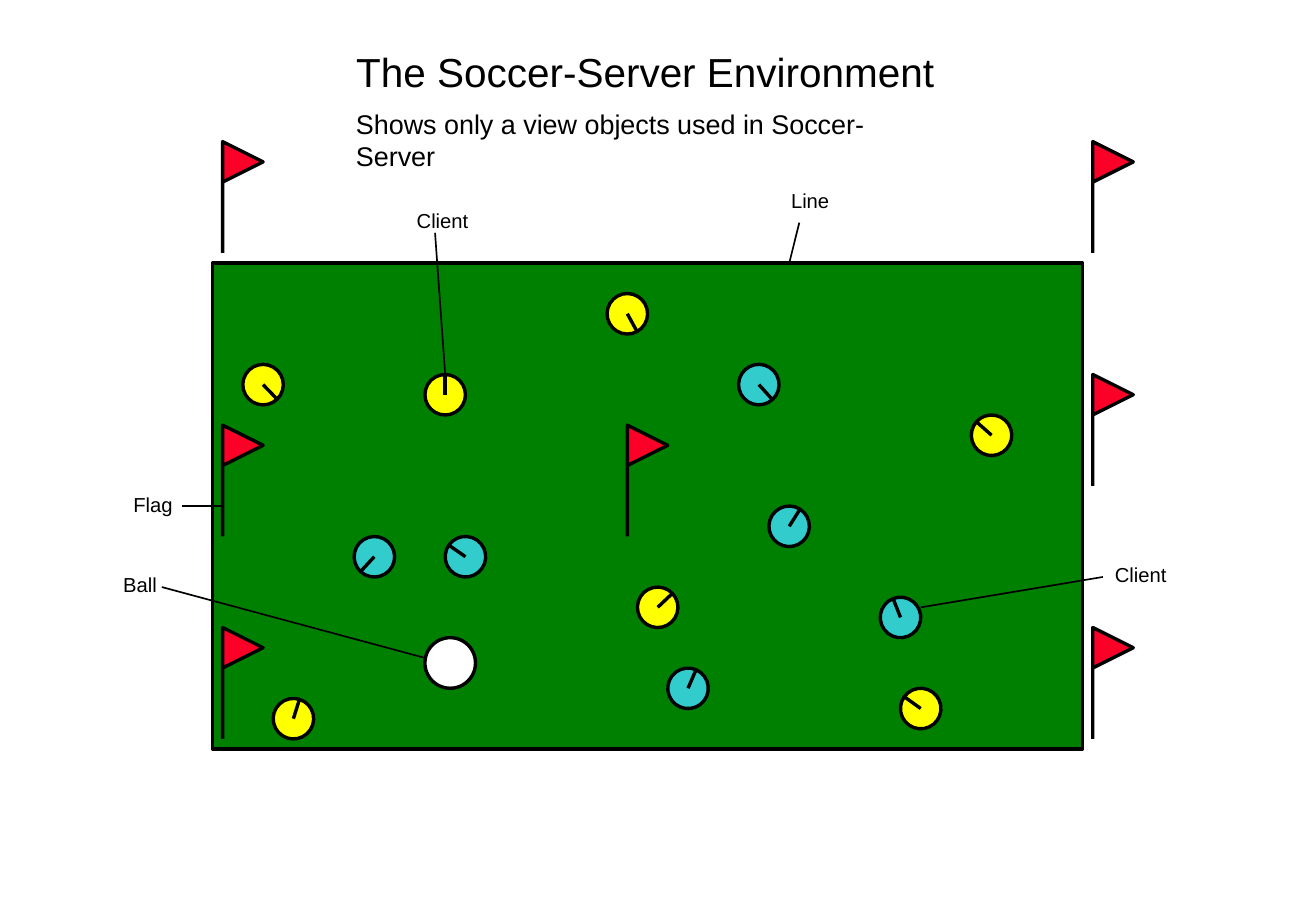
from dataclasses import dataclass
from math import cos, radians, sin

from lxml.etree import SubElement
from pptx import Presentation
from pptx.dml.color import RGBColor as Rgb
from pptx.enum.shapes import MSO_CONNECTOR as Link, MSO_SHAPE as Kind
from pptx.enum.text import MSO_ANCHOR as Anchor, MSO_AUTO_SIZE as Fit, PP_ALIGN as Align
from pptx.oxml.ns import qn
from pptx.util import Cm, Pt


@dataclass(frozen=True)
class Theme:
    """Colours, type sizes and line widths of the slide."""
    font: str = "Arial"
    ink: Rgb = Rgb(0, 0, 0)
    grass: Rgb = Rgb(0, 128, 0)
    flag: Rgb = Rgb(252, 1, 40)
    gold: Rgb = Rgb(255, 255, 0)
    teal: Rgb = Rgb(51, 204, 204)
    white: Rgb = Rgb(255, 255, 255)
    title: int = 24
    lead: int = 16
    label: int = 12
    thick: int = 2
    thin: int = 1


THEME = Theme()
FLAGS = [(41, 16), (1, 16), (87, 11), (87, -12), (87, 36), (1, 36), (1, -12)]
TEAMS = {
    THEME.gold: [(41, 5, 61.3), (44, 34, 316.7), (70, 44, 215.6), (77, 17, 221.6),
                 (23, 13, 270), (8, 45, 287.4), (5, 12, 46)],
    THEME.teal: [(57, 26, 302.3), (25, 29, 214.8), (16, 29, 132.9),
                 (68, 35, 248.6), (47, 42, 293.4), (54, 12, 47.8)],
}
LABELS = [
    ("Flag", (-9, 22), (-3, 24), (1, 24)),
    ("Client", (19, -6), (22, -3), (23, 11)),
    ("Client", (88, 29), (88, 31), (70, 34)),
    ("Line", (56, -8), (58, -4), (57, 0)),
    ("Ball", (-10, 30), (-5, 32), (21, 39)),
]


def grid(*steps):
    """Turn steps of a twelfth of an inch into lengths."""
    return [Cm(step * 2.54 / 12) for step in steps]


def paint(shape, fill):
    """Give a shape its fill and a thick outline."""
    shape.shadow.inherit = False
    shape.fill.solid()
    shape.fill.fore_color.rgb = fill
    shape.line.color.rgb = THEME.ink
    shape.line.width = Pt(THEME.thick)


def draw(shapes, kind, box, fill):
    """Add a painted preset shape."""
    shape = shapes.add_shape(kind, *grid(*box))
    paint(shape, fill)
    return shape


def rule(shapes, start, end, width):
    """Add a straight line between two grid points."""
    line = shapes.add_connector(Link.STRAIGHT, *grid(*start, *end))
    line.line.color.rgb = THEME.ink
    line.line.width = Pt(width)
    SubElement(line.element.spPr, qn("a:effectLst"))


def write(shape, box, text, size):
    """Place a text shape and set its wording and type."""
    shape.left, shape.top, shape.width, shape.height = grid(*box)
    frame = shape.text_frame
    frame.text = text
    frame.word_wrap = True
    frame.auto_size = Fit.NONE
    frame.vertical_anchor = Anchor.TOP
    para = frame.paragraphs[0]
    para.alignment = Align.LEFT
    font = para.runs[0].font
    font.name, font.size, font.color.rgb = THEME.font, Pt(size), THEME.ink


def head(slide, box):
    """Place the title and the line below it."""
    x, y, wide, high = box
    write(slide.shapes.title, (x, y, wide, 6), "The Soccer-Server Environment", THEME.title)
    lead = slide.shapes.add_textbox(*grid(*box))
    write(lead, (x, y + 6, wide, high - 6),
          "Shows only a view objects used in Soccer-Server", THEME.lead)


def flag(shapes, x, y):
    """Draw a pennant on its pole, from the top of the pole."""
    points = [grid(x + dx, y + dy) for dx, dy in [(0, 11), (0, 0), (4, 2), (0, 4)]]
    form = shapes.build_freeform(*points[0])
    form.add_line_segments(points[1:], close=False)
    paint(form.convert_to_shape(), THEME.flag)


def client(shapes, x, y, turn, fill):
    """Draw a player as a disc with a line that shows its heading."""
    parts = shapes.add_group_shape().shapes
    disc = draw(parts, Kind.OVAL, (x - 2, y - 2, 4, 4), fill)
    disc.rotation = turn
    angle = radians(turn)
    rule(parts, (x, y), (x + 2 * cos(angle), y + 2 * sin(angle)), THEME.thick)


def field(slide, box):
    """Draw the pitch with its flags, players, ball and labels."""
    left, top, _, _ = box
    shapes = slide.shapes
    draw(shapes, Kind.RECTANGLE, box, THEME.grass)
    for x, y in FLAGS:
        flag(shapes, left + x, top + y)
    for fill, team in TEAMS.items():
        for x, y, turn in team:
            client(shapes, left + x, top + y, turn, fill)
    draw(shapes, Kind.OVAL, (left + 21, top + 37, 5, 5), THEME.white)
    for text, (x, y), start, end in LABELS:
        spot = (left + x, top + y, 9, 3.6)
        write(shapes.add_textbox(*grid(*spot)), spot, text, THEME.label)
        rule(shapes, *[(left + dx, top + dy) for dx, dy in (start, end)], THEME.thin)


def main():
    """Build the slide and save it."""
    deck = Presentation()
    deck.slide_width, deck.slide_height = Cm(27.53), Cm(19.05)
    slide = deck.slides.add_slide(deck.slide_layouts[5])
    head(slide, (34, 4, 59.8, 13.7))
    field(slide, (21, 26, 86, 48))
    deck.save("out.pptx")


if __name__ == "__main__":
    main()
